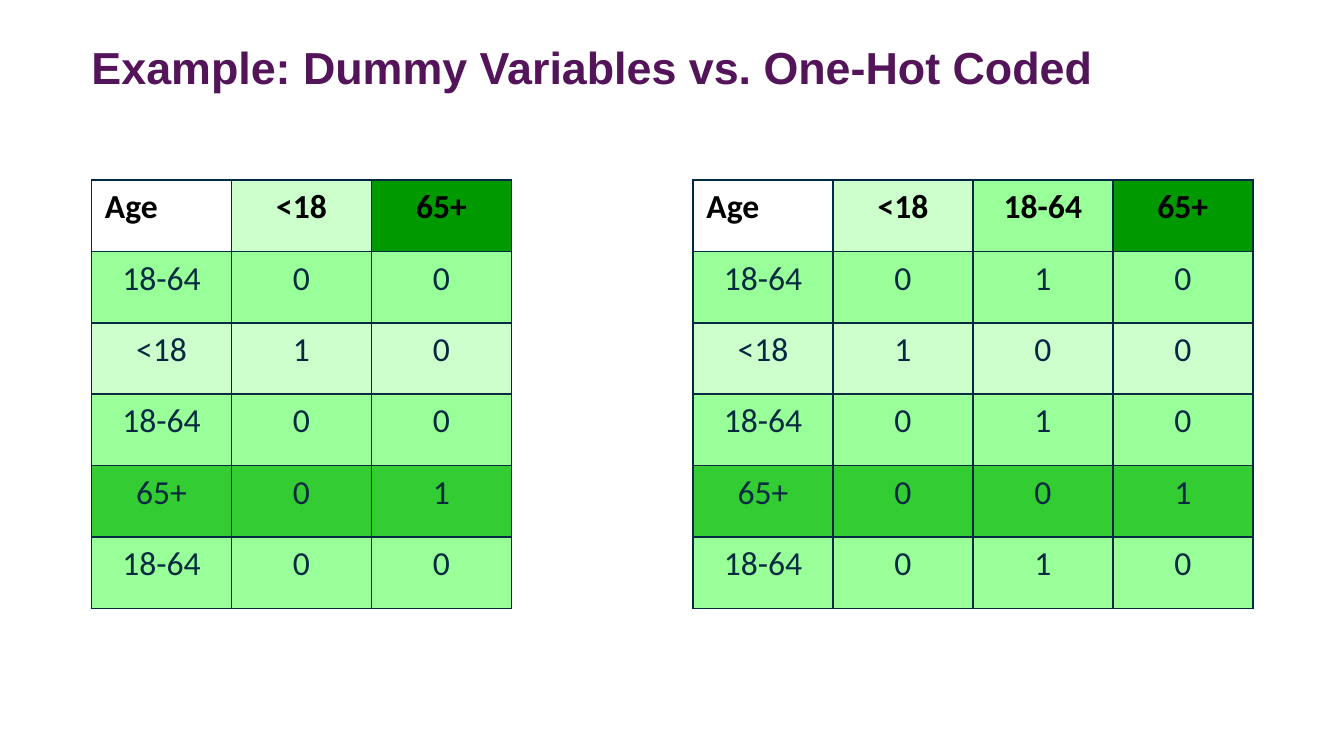
from dataclasses import dataclass

from lxml.etree import SubElement
from pptx import Presentation
from pptx.dml.color import RGBColor as Color
from pptx.enum.text import MSO_ANCHOR as Anchor, PP_ALIGN as Align
from pptx.oxml.ns import qn
from pptx.util import Pt


@dataclass(frozen=True)
class Theme:
    title_font: str = "Arial"
    table_font: str = "Calibri"
    title_size: int = 24
    table_size: int = 18
    border_width: int = 1
    title: str = "54145A"
    header: str = "000000"
    body: str = "002A41"
    under_18: str = "CCFFCC"
    adult: str = "99FF99"
    senior: str = "33CC33"
    senior_header: str = "009900"


class SlideBuilder:
    def __init__(self, page, theme):
        self.page = page
        self.theme = theme

    def add_text(self, frame, text, align, font, size, color, bold):
        para = frame.paragraphs[0]
        para.alignment = align
        span = para.add_run()
        span.text = text
        for name, value in {"name": font, "size": Pt(size), "bold": bold}.items():
            setattr(span.font, name, value)
        span.font.color.rgb = Color.from_string(color)

    def title(self, text, left, top, width, height):
        box = self.page.shapes.add_textbox(Pt(left), Pt(top), Pt(width), Pt(height))
        frame = box.text_frame
        layout = {"word_wrap": True, "vertical_anchor": Anchor.TOP,
                  "margin_left": 0, "margin_right": 0,
                  "margin_top": 0, "margin_bottom": 0}
        for name, value in layout.items():
            setattr(frame, name, value)
        theme = self.theme
        self.add_text(frame, text, Align.LEFT, theme.title_font,
                      theme.title_size, theme.title, True)

    def borders(self, cell):
        properties = cell._tc.get_or_add_tcPr()
        for side in ("a:lnL", "a:lnR", "a:lnT", "a:lnB"):
            line = SubElement(properties, qn(side), w=str(Pt(self.theme.border_width)))
            fill = SubElement(line, qn("a:solidFill"))
            SubElement(fill, qn("a:srgbClr"), val=self.theme.body)

    def cell(self, cell, text, align, fill, color, bold):
        self.borders(cell)
        if fill:
            cell.fill.solid()
            cell.fill.fore_color.rgb = Color.from_string(fill)
        else:
            cell.fill.background()
        self.add_text(cell.text_frame, text, align, self.theme.table_font,
                      self.theme.table_size, color, bold)

    def coding_table(self, ages, categories, left, top, column_width, row_height):
        """Show each age group with a 0/1 indicator for every category."""
        theme = self.theme
        row_fills = {"<18": theme.under_18, "18-64": theme.adult, "65+": theme.senior}
        header_fills = {**row_fills, "65+": theme.senior_header}
        row_count, column_count = len(ages) + 1, len(categories) + 1
        table = self.page.shapes.add_table(
            row_count, column_count, Pt(left), Pt(top),
            Pt(column_width * column_count), Pt(row_height * row_count)).table
        table.first_row = table.horz_banding = False
        for column in table.columns:
            column.width = Pt(column_width)
        for row in table.rows:
            row.height = Pt(row_height)

        # Header row
        for index, text in enumerate(["Age", *categories]):
            self.cell(table.cell(0, index), text, Align.CENTER if index else Align.LEFT,
                      header_fills.get(text), theme.header, True)

        # Indicator rows
        for row, age in enumerate(ages, 1):
            indicators = [str(int(age == category)) for category in categories]
            for index, text in enumerate([age, *indicators]):
                self.cell(table.cell(row, index), text, Align.CENTER,
                          row_fills[age], theme.body, False)


def main():
    deck = Presentation()
    deck.slide_width, deck.slide_height = Pt(720), Pt(405)
    page = deck.slides.add_slide(deck.slide_layouts[6])
    builder = SlideBuilder(page, Theme())

    # Title
    builder.title("Example: Dummy Variables vs. One-Hot Coded", 49, 21.5, 622, 68)

    # One-hot coding on the right, dummy variables on the left
    ages = ["18-64", "<18", "18-64", "65+", "18-64"]
    grid = {"top": 96.5, "column_width": 75, "row_height": 38.25}
    builder.coding_table(ages, ["<18", "18-64", "65+"], left=371.25, **grid)
    builder.coding_table(ages, ["<18", "65+"], left=49, **grid)

    deck.save("out.pptx")


if __name__ == "__main__":
    main()
